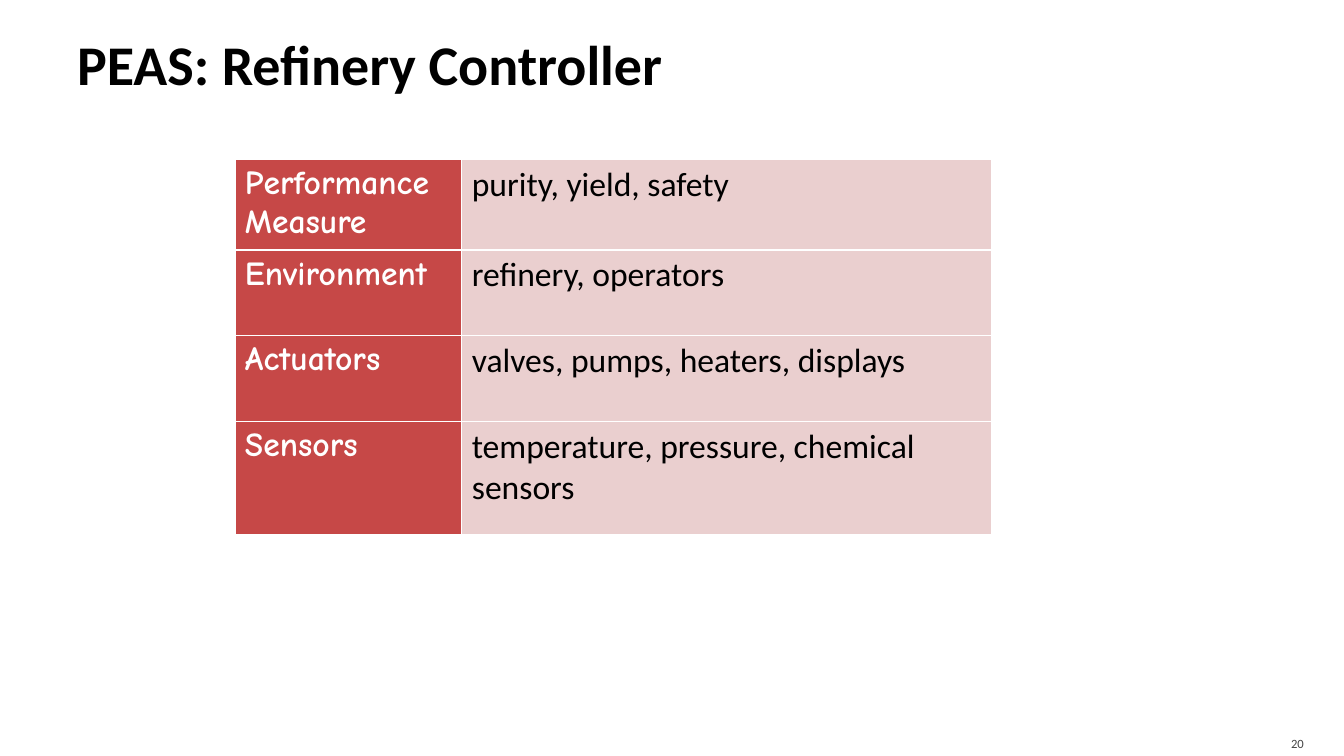
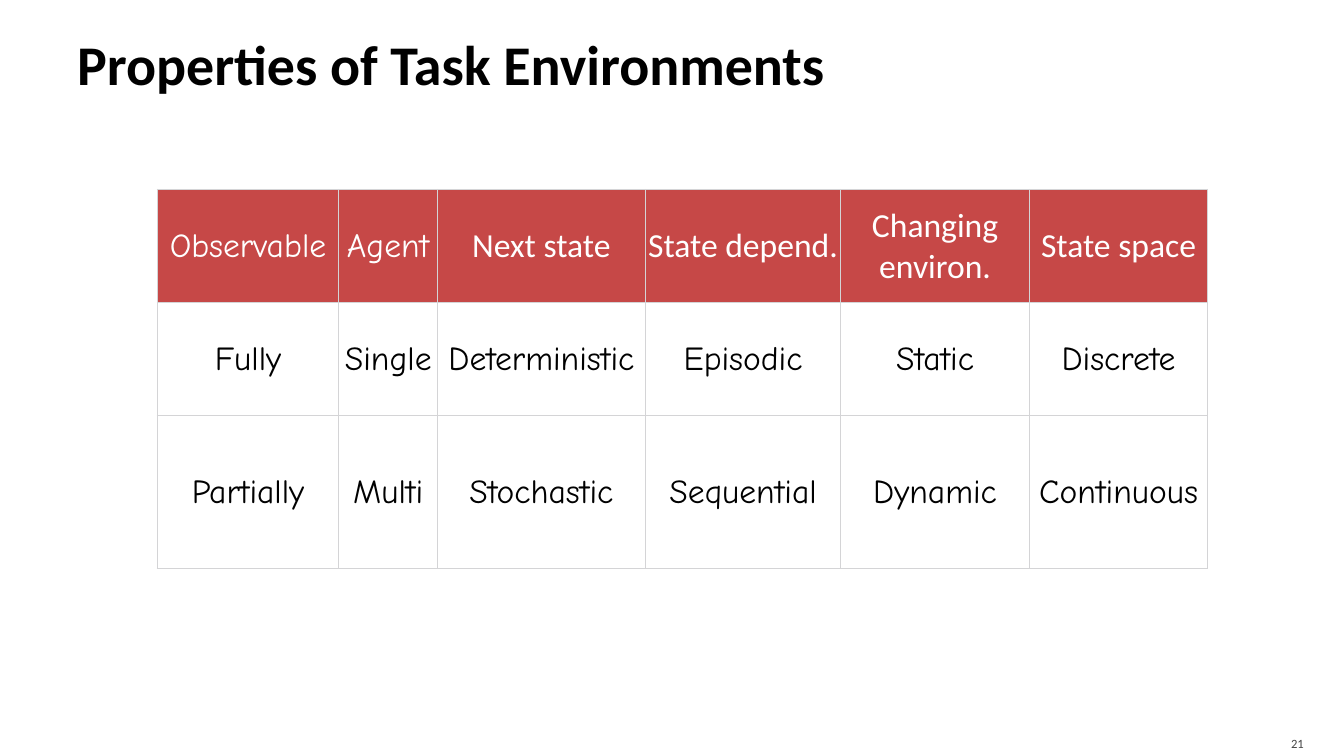
from dataclasses import dataclass

from lxml import etree
from pptx import Presentation
from pptx.dml.color import RGBColor
from pptx.enum import text
from pptx.oxml import ns
from pptx.util import Inches, Pt


@dataclass(frozen=True)
class Theme:
    sans: str = "Calibri"
    comic: str = "Comic Neue"
    ink: str = "000000"
    paper: str = "FFFFFF"
    red: str = "C64847"
    pink: str = "EACFCF"
    rule: str = "D4D4D6"
    number: str = "454545"
    title_size: int = 40
    body_size: int = 24
    number_size: int = 9


THEME = Theme()
WIDTH, HEIGHT = 13.33, 7.5
FIRST_NUMBER = 20

PEAS = [
    ("Performance Measure", "purity, yield, safety"),
    ("Environment", "refinery, operators"),
    ("Actuators", "valves, pumps, heaters, displays"),
    ("Sensors", "temperature, pressure, chemical sensors"),
]
PROPERTIES = [
    ("Observable", "Agent", "Next state", "State depend.", "Changing environ.", "State space"),
    ("Fully", "Single", "Deterministic", "Episodic", "Static", "Discrete"),
    ("Partially", "Multi", "Stochastic", "Sequential", "Dynamic", "Continuous"),
]


def peas_style(row, column):
    if column == 0:
        return THEME.comic, THEME.paper, True, THEME.red
    return THEME.sans, THEME.ink, False, THEME.pink


def property_style(row, column):
    if row == 0:
        return THEME.comic if column < 2 else THEME.sans, THEME.paper, False, THEME.red
    return THEME.comic, THEME.ink, False, None


SLIDES = [
    dict(title="PEAS: Refinery Controller", entries=PEAS, corner=(2.33, 1.58),
         columns=(2.25, 5.25), rows=(0.85, 0.85, 0.85, 1.12), style=peas_style,
         border=THEME.paper, insets=(0.1, 0.05, 0.1, 0.05), centred=False),
    dict(title="Properties of Task Environments", entries=PROPERTIES, corner=(1.56, 1.88),
         columns=(1.8, 0.98, 2.06, 1.94, 1.87, 1.77), rows=(1.12, 1.12, 1.52),
         style=property_style, border=THEME.rule, insets=(0.01, 0.01, 0.01, 0), centred=True),
]


def set_insets(target, insets):
    for side, inset in zip(("left", "top", "right", "bottom"), insets):
        setattr(target, f"margin_{side}", Inches(inset))


def write(frame, words, size, font, colour, bold=False, align=text.PP_ALIGN.LEFT):
    frame.text = words
    frame.word_wrap = True
    paragraph = frame.paragraphs[0]
    paragraph.alignment = align
    for run in paragraph.runs:
        run.font.size = Pt(size)
        run.font.name = font
        run.font.bold = bold
        run.font.color.rgb = RGBColor.from_string(colour)


def add_label(slide, box, insets, words, *look):
    frame = slide.shapes.add_textbox(*map(Inches, box)).text_frame
    set_insets(frame, insets)
    frame.vertical_anchor = text.MSO_ANCHOR.MIDDLE
    write(frame, words, *look)


def set_borders(cell, colour):
    properties = cell._tc.get_or_add_tcPr()
    for position, edge in enumerate(("lnL", "lnR", "lnT", "lnB")):
        line = etree.Element(ns.qn(f"a:{edge}"), w=str(Pt(1)))
        solid = etree.SubElement(line, ns.qn("a:solidFill"))
        etree.SubElement(solid, ns.qn("a:srgbClr"), val=colour)
        properties.insert(position, line)


def add_grid(slide, entries, corner, columns, rows, style, border, insets, centred):
    extent = sum(columns), sum(rows)
    table = slide.shapes.add_table(len(rows), len(columns), *map(Inches, corner + extent)).table
    table.first_row = table.horz_banding = False
    for column, width in zip(table.columns, columns):
        column.width = Inches(width)
    for row, height in zip(table.rows, rows):
        row.height = Inches(height)
    align = text.PP_ALIGN.CENTER if centred else text.PP_ALIGN.LEFT
    anchor = text.MSO_ANCHOR.MIDDLE if centred else text.MSO_ANCHOR.TOP
    for r, entry in enumerate(entries):
        for c, words in enumerate(entry):
            cell = table.cell(r, c)
            font, colour, bold, fill = style(r, c)
            write(cell.text_frame, words, THEME.body_size, font, colour, bold, align)
            set_insets(cell, insets)
            cell.vertical_anchor = anchor
            if fill:
                cell.fill.solid()
                cell.fill.fore_color.rgb = RGBColor.from_string(fill)
            else:
                cell.fill.background()
            set_borders(cell, border)


def add_page(deck, number, title, **grid):
    slide = deck.slides.add_slide(deck.slide_layouts[6])
    add_label(slide, (WIDTH * 0.05, 0.17, WIDTH * 0.9, 0.92), (0.1, 0.05, 0.05, 0.05),
              title, THEME.title_size, THEME.sans, THEME.ink, True)
    add_grid(slide, **grid)
    add_label(slide, (11.96, HEIGHT - 0.3, 1.07, 0.3), (0.1, 0.05, 0.1, 0),
              str(number), THEME.number_size, THEME.sans, THEME.number, False,
              text.PP_ALIGN.RIGHT)


def main():
    deck = Presentation()
    deck.slide_width, deck.slide_height = Inches(WIDTH), Inches(HEIGHT)
    for number, page in enumerate(SLIDES, FIRST_NUMBER):
        add_page(deck, number, **page)
    deck.save("out.pptx")


if __name__ == "__main__":
    main()
